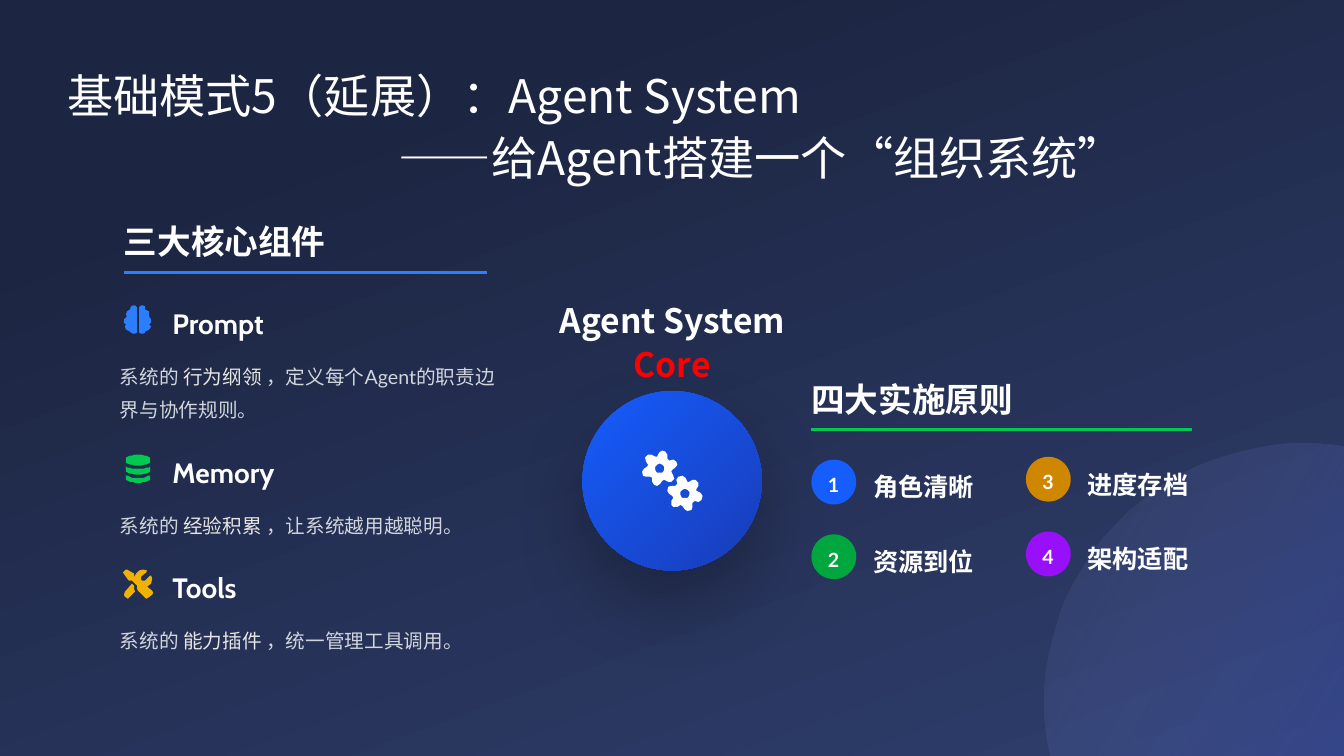
"""Builds the Agent System slide: three core components, the core and four principles."""
from math import cos, radians, sin

from lxml.etree import SubElement
from pptx import Presentation
from pptx.dml.color import RGBColor
from pptx.enum.shapes import MSO_CONNECTOR, MSO_SHAPE
from pptx.enum.text import MSO_ANCHOR, PP_ALIGN
from pptx.oxml import parse_xml
from pptx.oxml.ns import nsdecls, qn
from pptx.util import Pt

WHITE = RGBColor(0xFF, 0xFF, 0xFF)
RED = RGBColor(0xFF, 0x00, 0x00)
GREY = RGBColor(0xD1, 0xD5, 0xDC)
IVORY = RGBColor(0xE8, 0xE6, 0xE3)
BLUE = RGBColor(0x2B, 0x7F, 0xFF)
ROYAL = RGBColor(0x15, 0x5D, 0xFC)
DEEP_BLUE = RGBColor(0x19, 0x3C, 0xB8)
GREEN = RGBColor(0x00, 0xC9, 0x50)
DARK_GREEN = RGBColor(0x00, 0xA6, 0x3E)
YELLOW = RGBColor(0xF0, 0xB1, 0x00)
OCHRE = RGBColor(0xD0, 0x87, 0x00)
PURPLE = RGBColor(0x98, 0x10, 0xFA)
SLATE = RGBColor(0x2F, 0x3E, 0x6D)
NAVY = RGBColor(0x1C, 0x25, 0x41)
LILAC = RGBColor(0xB7, 0xC1, 0xFF)
INDIGO = RGBColor(0x4A, 0x63, 0xFE)

CJK = "Noto Sans CJK SC"
TITLE = {"size": Pt(33), "name": CJK, "bold": False}
HEADING = {"size": Pt(24), "name": CJK, "bold": True}
COMPONENT = {"size": Pt(20), "name": "Cabin", "bold": True}
BODY = {"size": Pt(14), "name": "Lato", "bold": False}
NUMBER = {"size": Pt(14), "name": "Lato", "bold": True}
PRINCIPLE = {"size": Pt(18), "name": "Lato", "bold": True}

prs = Presentation()
prs.slide_width, prs.slide_height = Pt(960), Pt(540)
s = prs.slides.add_slide(prs.slide_layouts[6])


def add_text(box, paragraphs, style, spacing, anchor=MSO_ANCHOR.MIDDLE, bottom=0, align=PP_ALIGN.LEFT):
    sp = s.shapes.add_textbox(*map(Pt, box))
    tf = sp.text_frame
    tf.word_wrap = True
    tf.vertical_anchor = anchor
    tf.margin_left = tf.margin_top = tf.margin_right = 0
    tf.margin_bottom = Pt(bottom)
    for i, runs in enumerate(paragraphs):
        p = tf.add_paragraph() if i else tf.paragraphs[0]
        p.line_spacing, p.alignment = spacing, align
        for text, color in runs:
            r = p.add_run()
            r.text = text
            for key, value in style.items():
                setattr(r.font, key, value)
            r.font.color.rgb = color
            SubElement(r.font._element, qn("a:ea"), typeface=CJK)
    return tf


def add_outline(contours, color):
    builder = s.shapes.build_freeform(*contours[0][0], scale=Pt(0.72))
    for i, points in enumerate(contours):
        if i:
            builder.move_to(*points[0])
        builder.add_line_segments(points[1:], close=True)
    sp = builder.convert_to_shape()
    sp.shadow.inherit = False
    sp.fill.solid()
    sp.fill.fore_color.rgb = color
    sp.line.fill.background()
    return sp


arc = [(1294 + 258 * cos(radians(a)), 696 + 256 * sin(radians(a))) for a in range(168, 280, 3)]
glow = add_outline([arc + [(1333.33, 443), (1333.33, 750), (1041, 750)]], INDIGO)

tf = add_text((48, 44, 912, 96), [[("基础模式5（延展）：Agent System", WHITE)],
                                  [("——给Agent搭建一个“组织系统”", WHITE)]], TITLE, 1.11, MSO_ANCHOR.TOP)
tf.paragraphs[1]._p.get_or_add_pPr().set("marL", str(Pt(237)))

for heading, left, top, width, color in [("三大核心组件", 88.56, 154.8, 259.2, BLUE),
                                         ("四大实施原则", 579.6, 267.12, 272.16, GREEN)]:
    y = Pt(top + 39.6)
    rule = s.shapes.add_connector(MSO_CONNECTOR.STRAIGHT, Pt(left), y, Pt(left + width), y)
    rule.line.color.rgb, rule.line.width = color, Pt(2)
    SubElement(rule._element.spPr, qn("a:effectLst"))
    add_text((left, top, 252, 40.32), [[(heading, WHITE)]], HEADING, 1.1, bottom=7.92)

for name, top, height, term, rest in [
        ("Prompt", 214.56, 46.08, "行为纲领", "，定义每个Agent的职责边界与协作规则。"),
        ("Memory", 321.12, 23.04, "经验积累", "，让系统越用越聪明。"),
        ("Tools", 403.2, 23.04, "能力插件", "，统一管理工具调用。")]:
    add_text((123.12, top, 90, 28.08), [[(name, WHITE)]], COMPONENT, 1.2)
    add_text((85.68, top + 39.6, 270.72, height),
             [[("系统的", GREY), (f" {term} ", IVORY), (rest, GREY)]], BODY, 1.4)

lobe = [(129, 307), (130, 304), (132, 303), (134, 303), (136, 305), (136, 330), (134, 331), (132, 331),
        (130, 330), (129, 329), (125, 327), (124, 324), (125, 322), (123, 320), (123, 317), (126, 314),
        (125, 312), (126, 309)]
add_outline([lobe, [(273.5 - x, y) for x, y in lobe]], BLUE)

discs = []
for upper, bulge, lower in [(455, -4, 458), (462, 3, 467), (471, 3, 475)]:
    turns = [radians(a) for a in range(0, 181, 15)]
    discs.append([(137 - 12 * cos(t), upper + bulge * sin(t)) for t in turns]
                 + [(137 + 12 * cos(t), lower + 4 * sin(t)) for t in turns])
add_outline(discs, GREEN)

wrench = [(133, 571), (133, 573), (135, 569), (138, 566), (142, 565), (146, 566), (145, 568), (140, 572),
          (140, 575), (141, 576), (144, 576), (149, 571), (150, 571), (151, 574), (150, 579), (146, 582),
          (151, 586), (152, 588), (151, 590), (147, 593), (145, 594), (144, 593), (137, 586), (136, 584),
          (136, 581), (131, 576), (128, 576), (127, 575), (122, 568), (123, 567), (125, 565), (126, 565),
          (133, 569)]
handle = [(133, 581), (133, 584), (134, 587), (129, 592), (127, 593.5), (124, 592), (123, 589.5),
          (124, 587), (131, 579)]
add_outline([wrench, handle], YELLOW)

add_text((392.4, 218.88, 175.68, 48.24), [[("Agent System", WHITE)], [("Core", RED)]],
         HEADING, 1.1, align=PP_ALIGN.CENTER)
core = s.shapes.add_shape(MSO_SHAPE.OVAL, Pt(416), Pt(279.36), Pt(128.16), Pt(128.16))
core.line.fill.background()

for fill, angle, stops in [(s.background.fill, 110, [(0, SLATE, 100), (0.8, NAVY, 100)]),
                           (glow.fill, 330, [(0, LILAC, 5), (1, INDIGO, 20)]),
                           (core.fill, 315, [(0, ROYAL, 100), (1, DEEP_BLUE, 100)])]:
    fill.gradient()
    fill.gradient_angle = angle
    for stop, (position, color, opacity) in zip(fill.gradient_stops, stops):
        stop.position, stop.color.rgb = position, color
        SubElement(stop._gs[0], qn("a:alpha"), val=str(opacity * 1000))

core._element.spPr.append(parse_xml(
    f'<a:effectLst {nsdecls("a")}><a:outerShdw blurRad="{Pt(50)}" dist="{Pt(25)}" dir="5400000">'
    '<a:srgbClr val="000000"><a:alpha val="25000"/></a:srgbClr></a:outerShdw></a:effectLst>'))

tooth = [(12.2, -25), (15.6, -16), (17.6, -6), (17.6, 6), (15.6, 16), (12.2, 25)]
gears = []
for x, y, tilt in [(654.5, 464.7, -77), (679.4, 489.6, -105)]:
    rim = [(radius, tilt + 60 * i + a) for i in range(6) for radius, a in tooth]
    hole = [(4.6, -a) for a in range(0, 360, 20)]
    gears += [[(x + radius * cos(radians(a)), y + radius * sin(radians(a))) for radius, a in ring]
              for ring in (rim, hole)]
add_outline(gears, WHITE)

for i, (name, color) in enumerate([("角色清晰", ROYAL), ("资源到位", DARK_GREEN),
                                   ("进度存档", OCHRE), ("架构适配", PURPLE)]):
    column, row = divmod(i, 2)
    left, top = 579.6 + 153.2 * column, 328.3 - 2 * column + 53.4 * row
    badge = s.shapes.add_shape(MSO_SHAPE.OVAL, Pt(left), Pt(top), Pt(32), Pt(32))
    badge.shadow.inherit = False
    badge.fill.solid()
    badge.fill.fore_color.rgb = color
    badge.line.fill.background()
    add_text((left + 11.7, top + 6, 15.84, 20.16), [[(str(i + 1), WHITE)]], NUMBER, 1.2)
    add_text((left + 44, top + 2.1, 80.64, 28.08), [[(name, WHITE)]], PRINCIPLE, 1.3)

prs.save("out.pptx")
